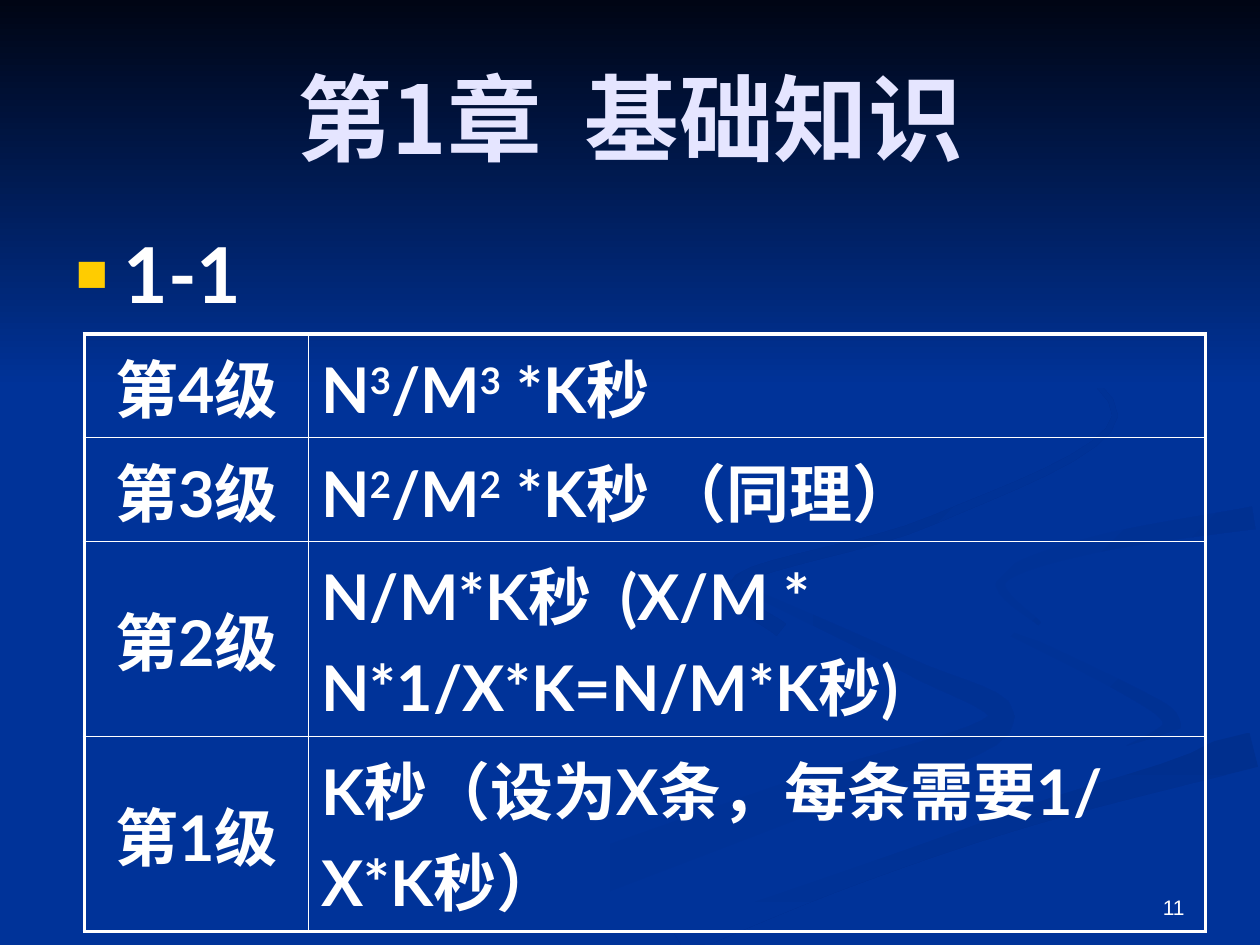
from dataclasses import dataclass
from math import hypot
from typing import Any, NamedTuple

from lxml.etree import SubElement
from pptx import Presentation
from pptx.dml.color import RGBColor
from pptx.enum.shapes import MSO_SHAPE
from pptx.enum.text import MSO_ANCHOR, PP_ALIGN
from pptx.oxml.ns import qn
from pptx.util import Emu, Inches, Pt

COLUMNS, ROWS = 10, 7.5  # one-inch layout grid
CURVE_STEPS = 8

Point = tuple[float, float]


@dataclass(frozen=True)
class Theme:
    background: str = "003399"
    shade: str = "002F8E"
    night: str = "000514"
    title: str = "E5E5FF"
    text: str = "FFFFFF"
    bullet: str = "FFCC00"
    latin: str = "Lato"
    chinese: str = "Noto Sans CJK SC"
    number_font: str = "Arial"
    title_size: float = 54
    body_size: float = 44
    table_size: float = 36
    number_size: float = 12
    outer_border: float = 2.25
    inner_border: float = 1


class Box(NamedTuple):
    left: float
    top: float
    width: float
    height: float

    def lengths(self) -> dict[str, Emu]:
        return {name: Inches(value) for name, value in self._asdict().items()}


class Ribbon(NamedTuple):
    start_color: str
    end_color: str
    angle: int
    start_width: float
    end_width: float
    middle: list[Point]


class Level(NamedTuple):
    name: str
    time: str  # superscripts stand between carets
    height: float


THEME = Theme()
TITLE_BOX = Box(0.5, 0.3, 9, 1.25)
BODY_BOX = Box(0.5, 1.75, 9, 4.95)
NUMBER_BOX = Box(7.17, 6.83, 2.33, 0.52)
TABLE_BOX = Box(0.67, 2.65, 8.9, 4.24)
NAME_WIDTH = 1.78

LEVELS = [
    Level("第4级", "N^3^/M^3^ *K秒", 0.82),
    Level("第3级", "N^2^/M^2^ *K秒 （同理）", 0.82),
    Level("第2级", "N/M*K秒  (X/M * N*1/X*K=N/M*K秒)", 1.3),
    Level("第1级", "K秒（设为X条，每条需要1/X*K秒）", 1.3),
]

RIBBONS = [
    Ribbon(THEME.background, "003193", 0, 0.03, 0.4,
           [(5.75, 4.6), (7.2, 5.28), (7.93, 5.75), (6.3, 6.35), (3.3, 7.45)]),
    Ribbon(THEME.background, "003193", 45, 0.03, 0.2,
           [(7.25, 4.65), (8.9, 5.45), (9.3, 5.75), (9, 6)]),
    Ribbon(THEME.shade, THEME.background, 90, 0.3, 0.28,
           [(5.35, 7.45), (6.7, 6.9), (8.2, 6.4), (9.95, 5.95)]),
    Ribbon(THEME.background, THEME.background, 0, 0.15, 0.25,
           [(9.95, 3.95), (7.5, 4.6), (9.7, 5.6), (8, 6.33), (4.9, 7.4)]),
    Ribbon(THEME.background, THEME.shade, 45, 0.18, 0.03,
           [(9.95, 4.11), (8.7, 4.32), (7.95, 4.6), (8.25, 4.95)]),
    Ribbon(THEME.shade, THEME.background, 45, 0.02, 0.12,
           [(7.62, 2.33), (8.85, 3.3), (7.4, 4.13), (5.87, 4.6), (6.2, 5)]),
]


def apply(target: Any, values: dict[str, Any]) -> None:
    for name, value in values.items():
        setattr(target, name, value)


def smooth(points: list[Point]) -> list[Point]:
    """Run a Catmull-Rom curve through the points."""
    padded = [points[0], *points, points[-1]]
    curve = []
    for corners in zip(padded, padded[1:], padded[2:], padded[3:]):
        for step in range(CURVE_STEPS):
            t = step / CURVE_STEPS
            weights = (-t + 2 * t**2 - t**3, 2 - 5 * t**2 + 3 * t**3,
                       t + 4 * t**2 - 3 * t**3, t**3 - t**2)
            x, y = (sum(w * value for w, value in zip(weights, axis)) / 2
                    for axis in zip(*corners))
            curve.append((x, y))
    return [*curve, points[-1]]


def ribbon_outline(ribbon: Ribbon) -> list[Point]:
    """Set both edges off from the middle line, keeping them on the slide."""
    curve = smooth(ribbon.middle)
    last = len(curve) - 1
    edges: dict[int, list[Point]] = {1: [], -1: []}
    for index, (x, y) in enumerate(curve):
        before, after = curve[max(index - 1, 0)], curve[min(index + 1, last)]
        run, rise = after[0] - before[0], after[1] - before[1]
        width = ribbon.start_width + (ribbon.end_width - ribbon.start_width) * index / last
        offset = width / 2 / hypot(run, rise)
        for side, edge in edges.items():
            edge.append((min(x - side * rise * offset, COLUMNS),
                         min(y + side * run * offset, ROWS)))
    return edges[1] + edges[-1][::-1]


def paint_gradient(shape: Any, start: str, end: str, angle: int) -> None:
    """Fill without outline or shadow; the angle runs clockwise."""
    shape.shadow.inherit = False
    shape.line.fill.background()
    shape.fill.gradient()
    shape.fill.gradient_angle = (360 - angle) % 360
    for stop, color in zip(shape.fill.gradient_stops, (start, end)):
        stop.color.rgb = RGBColor.from_string(color)


def draw_ribbon(group: Any, ribbon: Ribbon) -> None:
    first, *others = ribbon_outline(ribbon)
    builder = group.shapes.build_freeform(*(Inches(value) for value in first))
    builder.add_line_segments([(Inches(x), Inches(y)) for x, y in others], close=True)
    paint_gradient(builder.convert_to_shape(), ribbon.start_color, ribbon.end_color, ribbon.angle)


def write(frame: Any, text: str, size: float, align: PP_ALIGN, anchor: MSO_ANCHOR, *,
          color: str = THEME.text, latin: str = THEME.latin, bold: bool = True) -> Any:
    """Write one paragraph, raising the parts between carets."""
    apply(frame, {"word_wrap": True, "vertical_anchor": anchor})
    paragraph = frame.paragraphs[0]
    paragraph.alignment = align
    for index, part in enumerate(text.split("^")):
        run = paragraph.add_run()
        run.text = part
        apply(run.font, {"name": latin, "size": Pt(size), "bold": bold})
        run.font.color.rgb = RGBColor.from_string(color)
        properties = run.font._element
        SubElement(properties, qn("a:ea"), typeface=THEME.chinese)
        if index % 2:
            properties.set("baseline", "30000")
    return paragraph


def add_square_bullet(paragraph: Any) -> None:
    paragraph.space_before = Pt(THEME.body_size * 0.2)
    properties = paragraph._p.get_or_add_pPr()
    for name, value in {"marL": Inches(0.38), "indent": -Inches(0.38)}.items():
        properties.set(name, str(int(value)))
    color = SubElement(properties, qn("a:buClr"))
    SubElement(color, qn("a:srgbClr"), val=THEME.bullet)
    SubElement(properties, qn("a:buSzPct"), val="70000")
    SubElement(properties, qn("a:buFont"), typeface=THEME.number_font)
    SubElement(properties, qn("a:buChar"), char="■")


def set_borders(cell: Any, outer_sides: dict[str, bool]) -> None:
    cell.fill.background()
    properties = cell._tc.get_or_add_tcPr()
    for position, (side, is_outer) in enumerate(outer_sides.items()):
        width = THEME.outer_border if is_outer else THEME.inner_border
        line = SubElement(properties, qn(f"a:ln{side}"), w=str(int(Pt(width))))
        SubElement(SubElement(line, qn("a:solidFill")), qn("a:srgbClr"), val=THEME.text)
        properties.insert(position, line)


def draw_levels(slide: Any) -> None:
    last = len(LEVELS) - 1
    table = slide.shapes.add_table(len(LEVELS), 2, **TABLE_BOX.lengths()).table
    apply(table, {"first_row": False, "horz_banding": False})
    for column, width in zip(table.columns, (NAME_WIDTH, TABLE_BOX.width - NAME_WIDTH)):
        column.width = Inches(width)
    for row, level in enumerate(LEVELS):
        table.rows[row].height = Inches(level.height)
        for column, (text, align) in enumerate(
                ((level.name, PP_ALIGN.CENTER), (level.time, PP_ALIGN.LEFT))):
            cell = table.cell(row, column)
            paragraph = write(cell.text_frame, text, THEME.table_size, align, MSO_ANCHOR.MIDDLE)
            paragraph.space_before = Pt(THEME.table_size * 0.2)
            cell.vertical_anchor = MSO_ANCHOR.MIDDLE
            set_borders(cell, {"L": column == 0, "R": column == 1, "T": row == 0, "B": row == last})


def main() -> None:
    presentation = Presentation()
    apply(presentation, {"slide_width": Inches(COLUMNS), "slide_height": Inches(ROWS)})
    slide = presentation.slides.add_slide(presentation.slide_layouts[1])
    slide.background.fill.solid()
    slide.background.fill.fore_color.rgb = RGBColor.from_string(THEME.background)
    ribbons = slide.shapes.add_group_shape()
    for ribbon in RIBBONS:
        draw_ribbon(ribbons, ribbon)
    sky = slide.shapes.add_shape(MSO_SHAPE.RECTANGLE, **Box(0, 0, COLUMNS, 3.08).lengths())
    paint_gradient(sky, THEME.night, THEME.background, 90)
    number = slide.shapes.add_textbox(**NUMBER_BOX.lengths())
    write(number.text_frame, "11", THEME.number_size, PP_ALIGN.RIGHT, MSO_ANCHOR.BOTTOM,
          latin=THEME.number_font, bold=False)
    title, body = slide.shapes.title, slide.placeholders[1]
    for placeholder, box in ((title, TITLE_BOX), (body, BODY_BOX)):
        apply(placeholder, box.lengths())
        slide.shapes._spTree.append(placeholder._element)  # bring in front of the backdrop
    write(title.text_frame, "第1章  基础知识", THEME.title_size, PP_ALIGN.CENTER,
          MSO_ANCHOR.MIDDLE, color=THEME.title, latin=THEME.chinese)
    add_square_bullet(write(body.text_frame, "1-1", THEME.body_size, PP_ALIGN.JUSTIFY,
                            MSO_ANCHOR.TOP))
    draw_levels(slide)
    presentation.save("out.pptx")


if __name__ == "__main__":
    main()
